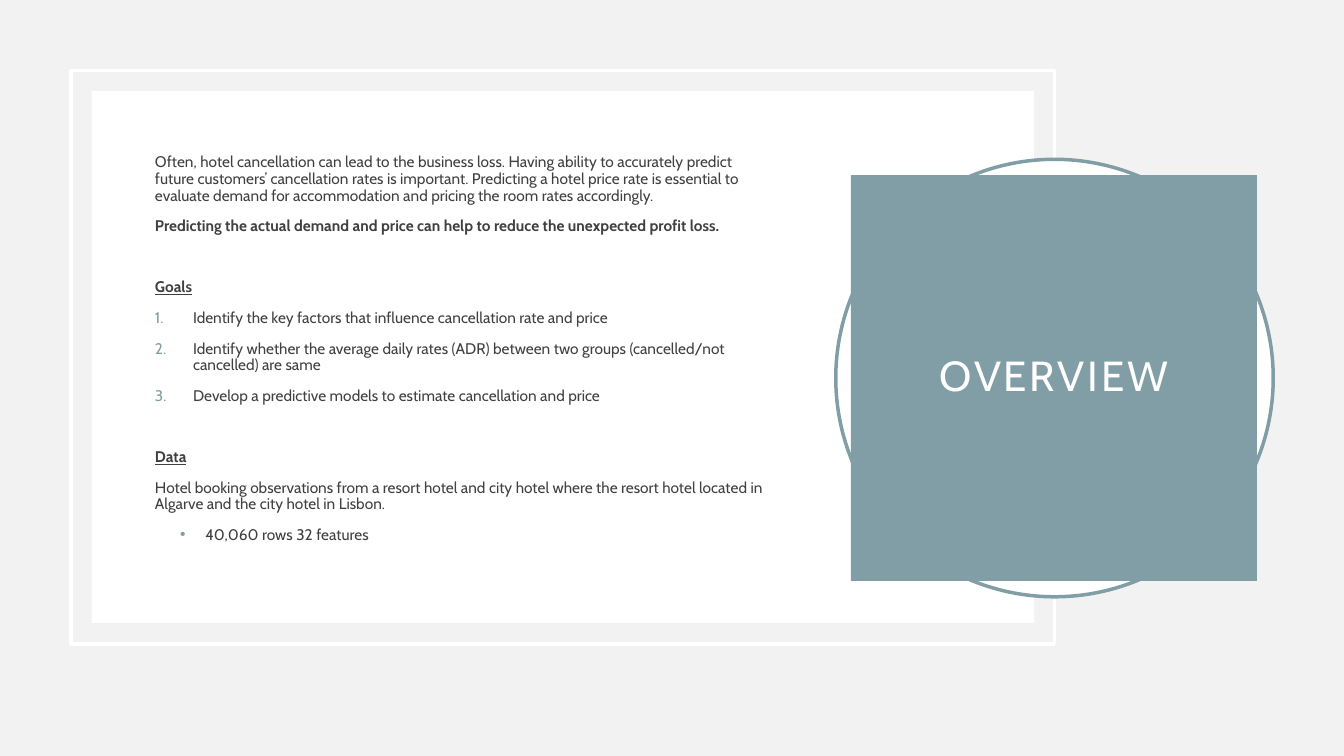
from lxml import etree
from pptx import Presentation
from pptx.dml.color import RGBColor
from pptx.enum.shapes import MSO_SHAPE
from pptx.enum.text import MSO_ANCHOR, PP_ALIGN
from pptx.oxml.ns import qn
from pptx.util import Pt

RECTANGLE, OVAL = MSO_SHAPE.RECTANGLE, MSO_SHAPE.OVAL
TOP, MIDDLE = MSO_ANCHOR.TOP, MSO_ANCHOR.MIDDLE
CENTER = PP_ALIGN.CENTER

FONT = "Cabin"
WHITE, TEAL, INK, BACKGROUND = "FFFFFF", "819DA5", "404040", "F2F2F2"
PARAGRAPH_GAP, SECTION_GAP = 10, 31.8
NUMBER = ("buAutoNum", {"type": "arabicPeriod"}, FONT, 27.2)
BULLET = ("buChar", {"char": "•"}, "Arial", 18)

INTRODUCTION = (
    "Often, hotel cancellation can lead to the business loss. Having ability to "
    "accurately predict future customers’ cancellation rates is important. "
    "Predicting a hotel price rate is essential to evaluate demand for "
    "accommodation and pricing the room rates accordingly."
)
KEY_MESSAGE = (
    "Predicting the actual demand and price can help to reduce the unexpected "
    "profit loss."
)
GOALS = [
    "Identify the key factors that influence cancellation rate and price",
    "Identify whether the average daily rates (ADR) between two groups "
    "(cancelled/not cancelled) are same",
    "Develop a predictive models to estimate cancellation and price",
]
DATA_DESCRIPTION = (
    "Hotel booking observations from a resort hotel and city hotel where the "
    "resort hotel located in Algarve and the city hotel in Lisbon."
)
DATA_SIZE = "40,060 rows 32 features"


def color(value):
    """Turn a hex string into a colour."""
    return RGBColor.from_string(value)


def add_panel(slide, kind, left, top, width, height, fill=None, line=None):
    """Add a flat shape with an optional fill and outline."""
    shape = slide.shapes.add_shape(kind, Pt(left), Pt(top), Pt(width), Pt(height))
    shape.shadow.inherit = False
    if fill:
        shape.fill.solid()
        shape.fill.fore_color.rgb = color(fill)
    else:
        shape.fill.background()
    if line:
        shape.line.color.rgb = color(line)
        shape.line.width = Pt(2.5)
    else:
        shape.line.fill.background()
    return shape


def style_run(run, size, text_color, bold=False, underline=False):
    """Set the font of a run."""
    run.font.name = FONT
    run.font.size = Pt(size)
    run.font.color.rgb = color(text_color)
    run.font.bold = bold
    run.font.underline = underline


def add_marker(paragraph, marker, level_indent):
    """Give a paragraph a teal number or bullet with a hanging indent."""
    tag, attributes, typeface, hanging = marker
    properties = paragraph._p.get_or_add_pPr()
    properties.set("marL", str(Pt(level_indent + hanging)))
    properties.set("indent", str(-Pt(hanging)))
    marker_color = etree.SubElement(properties, qn("a:buClr"))
    etree.SubElement(marker_color, qn("a:srgbClr"), val=TEAL)
    etree.SubElement(properties, qn("a:buFont"), typeface=typeface)
    etree.SubElement(properties, qn("a:" + tag), attributes)


def add_paragraph(frame, text, gap=PARAGRAPH_GAP, bold=False, underline=False,
                  marker=None, level=0):
    """Write the next paragraph of the body text."""
    paragraph = frame.paragraphs[0] if not frame.text else frame.add_paragraph()
    paragraph.text = text
    paragraph.level = level
    paragraph.line_spacing = 0.9
    paragraph.space_before = Pt(gap)
    style_run(paragraph.runs[0], 11, INK, bold, underline)
    if marker:
        add_marker(paragraph, marker, 18 * level)


def add_body(slide):
    """Add the introduction, the goals and the data description."""
    frame = slide.shapes.add_textbox(Pt(103.6), Pt(100.8), Pt(450), Pt(308.2)).text_frame
    frame.word_wrap = True
    frame.vertical_anchor = TOP
    frame.margin_top = Pt(9.5)
    frame.margin_bottom = 0
    add_paragraph(frame, INTRODUCTION)
    add_paragraph(frame, KEY_MESSAGE, bold=True)
    add_paragraph(frame, "Goals", SECTION_GAP, bold=True, underline=True)
    for goal in GOALS:
        add_paragraph(frame, goal, marker=NUMBER)
    add_paragraph(frame, "Data", SECTION_GAP, bold=True, underline=True)
    add_paragraph(frame, DATA_DESCRIPTION)
    add_paragraph(frame, DATA_SIZE, marker=BULLET, level=1)


def add_title(slide, text):
    """Add the title square in front of its ring."""
    add_panel(slide, OVAL, 597, 113.8, 312.5, 312.5, WHITE, TEAL)
    frame = add_panel(slide, RECTANGLE, 607.8, 125, 290, 290, TEAL).text_frame
    frame.word_wrap = True
    frame.vertical_anchor = MIDDLE
    frame.margin_left = frame.margin_right = Pt(14.4)
    frame.margin_top = frame.margin_bottom = Pt(14.4)
    frame.text = text
    paragraph = frame.paragraphs[0]
    paragraph.alignment = CENTER
    paragraph.line_spacing = 0.9
    style_run(paragraph.runs[0], 30, WHITE)
    paragraph.runs[0].font._element.set("spc", "200")


def main():
    """Build the overview slide."""
    presentation = Presentation()
    presentation.slide_width, presentation.slide_height = Pt(960), Pt(540)
    slide = presentation.slides.add_slide(presentation.slide_layouts[6])
    slide.background.fill.solid()
    slide.background.fill.fore_color.rgb = color(BACKGROUND)
    add_panel(slide, RECTANGLE, 50.6, 50.4, 702.5, 409.7, line=WHITE)
    add_panel(slide, RECTANGLE, 65.5, 65, 673, 380, WHITE)
    add_body(slide)
    add_title(slide, "OVERVIEW")
    presentation.save("out.pptx")


if __name__ == "__main__":
    main()
